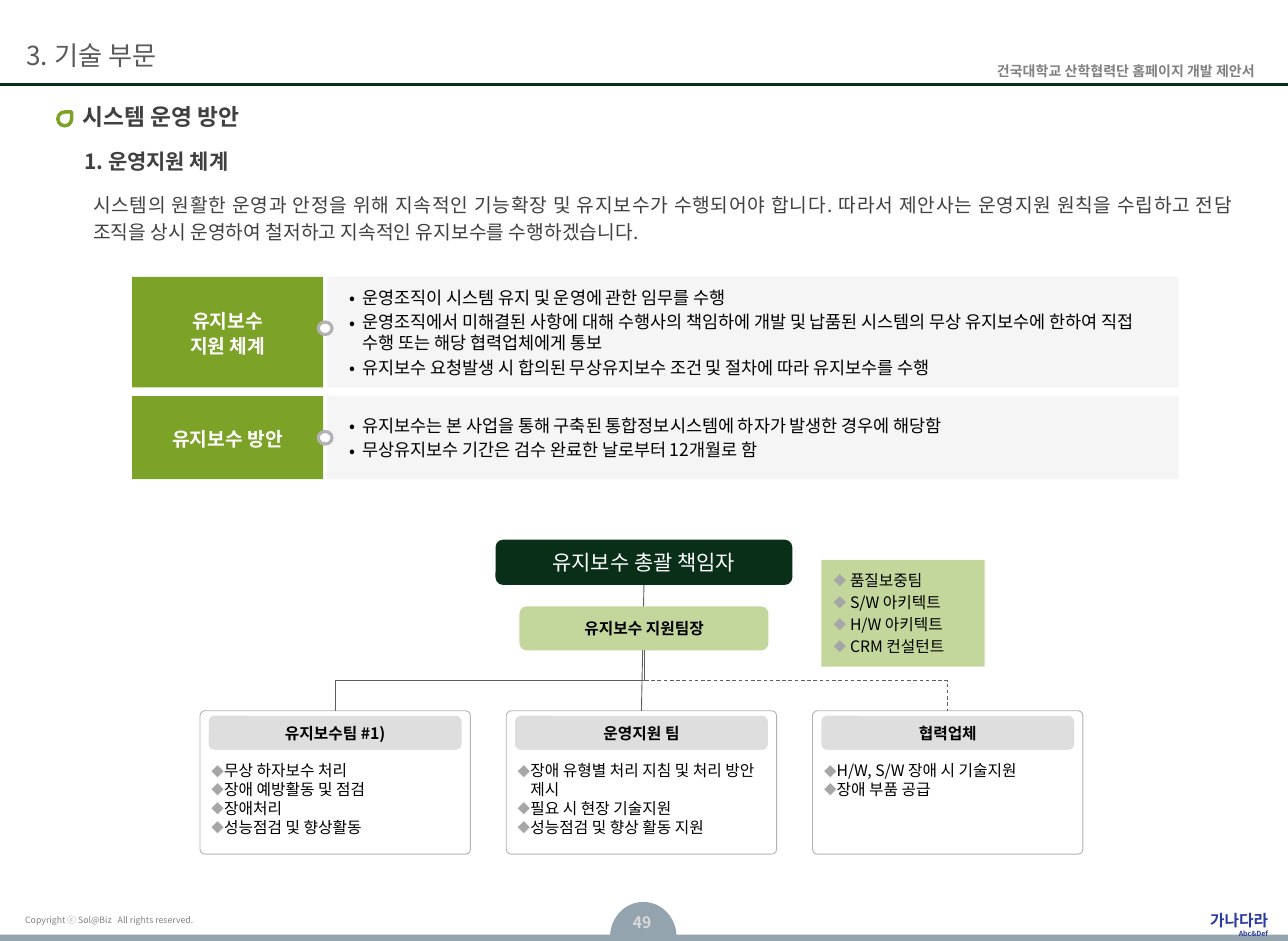
from dataclasses import dataclass
from lxml import etree
from pptx import Presentation
from pptx import util as u
from pptx.dml.color import RGBColor
from pptx.enum import dml, shapes, text
from pptx.oxml import ns

KIND = shapes.MSO_SHAPE
LINK = shapes.MSO_CONNECTOR
ALIGN = text.PP_ALIGN
TOP, MID = text.MSO_ANCHOR.TOP, text.MSO_ANCHOR.MIDDLE


@dataclass(frozen=True)
class Theme:
    font: str = "Noto Sans CJK KR"
    alt: str = "Arial"
    ink: str = "000000"
    white: str = "FFFFFF"
    dark: str = "404040"
    mid: str = "595959"
    gray: str = "808080"
    pale: str = "F5F5F5"
    band: str = "DEDEDE"
    edge: str = "B2B2B2"
    mark: str = "A6A6A6"
    page: str = "D9D9D9"
    wire: str = "5F5F5F"
    slate: str = "93A4AE"
    navy: str = "293B9F"
    rule: str = "093019"
    deep: str = "092F19"
    green: str = "7CA228"
    lime: str = "C3D69B"
    tiny: int = 4
    note: int = 5
    small: int = 8
    label: int = 9
    item: int = 10
    body: int = 11
    head: int = 12
    title: int = 13
    banner: int = 15


T = Theme()


def color(code):
    return RGBColor.from_string(code)


def node(par, tag, **attrs):
    item = etree.SubElement(par, ns.qn(tag))
    for key, val in attrs.items():
        item.set(key, str(val))
    return item


def bullet(para, sign, tint, scale, hang):
    prop = para._p.get_or_add_pPr()
    prop.set("marL", str(u.Inches(hang)))
    prop.set("indent", str(-u.Inches(hang)))
    if not sign:
        node(prop, "a:buNone")
        return
    node(node(prop, "a:buClr"), "a:srgbClr", val=tint)
    node(prop, "a:buSzPct", val=scale * 1000)
    node(prop, "a:buFont", typeface=T.font)
    node(prop, "a:buChar", char=sign)


def write(shape, lines, size=T.label, tint=T.ink, bold=False, font=T.font,
          align=ALIGN.LEFT, anchor=TOP, pad=(.1, .05, .1, .05), lead=1, gap=0,
          sign="", mark=T.ink, scale=100, hang=0, sizes=None):
    frame = shape.text_frame
    frame.word_wrap, frame.auto_size = True, text.MSO_AUTO_SIZE.NONE
    frame.vertical_anchor = anchor
    (frame.margin_left, frame.margin_top,
     frame.margin_right, frame.margin_bottom) = map(u.Inches, pad)
    for i, line in enumerate(lines):
        para = frame.add_paragraph() if i else frame.paragraphs[0]
        pts = sizes[i] if sizes else size
        para.alignment = align
        para.line_spacing = u.Pt(round(1.2 * pts * lead, 1))
        para.space_before = u.Pt(gap if i else 0)
        bullet(para, sign, mark, scale, hang)
        run = para.add_run()
        run.text = line
        run.font.size, run.font.bold = u.Pt(pts), bold
        run.font.name = font
        run.font.color.rgb = color(tint)
        node(run._r.get_or_add_rPr(), "a:ea", typeface=T.font)
    return shape


def place(shape, box):
    shape.left, shape.top, shape.width, shape.height = map(u.Inches, box)
    return shape


def note(slide, box, lines, **form):
    return write(slide.shapes.add_textbox(*map(u.Inches, box)), lines, **form)


def draw(slide, kind, box, fill, edge=None, width=.5, adj=()):
    shape = slide.shapes.add_shape(kind, *map(u.Inches, box))
    shape.shadow.inherit = False
    shape.fill.solid()
    shape.fill.fore_color.rgb = color(fill)
    if edge:
        shape.line.color.rgb = color(edge)
        shape.line.width = u.Pt(width)
    else:
        shape.line.fill.background()
    for i, val in enumerate(adj):
        shape.adjustments[i] = val
    return shape


def link(slide, kind, ends, tint=T.wire, width=.5):
    line = slide.shapes.add_connector(kind, *map(u.Inches, ends))
    line.line.color.rgb = color(tint)
    line.line.width = u.Pt(width)
    node(line._element.spPr, "a:effectLst")
    return line


def elbow(slide, start, end):
    (x, y), (far, low) = start, end
    span, drop = abs(far - x), low - y
    left, top = (x + far - drop) / 2, (y + low - span) / 2
    line = link(slide, LINK.ELBOW, (left, top, left + drop, top + span))
    frame = line._element.spPr.find(ns.qn("a:xfrm"))
    frame.set("rot", str((90 if far < x else 270) * 60000))
    if far > x:
        frame.set("flipH", "1")
    return line


def header(slide, box):
    x, y, w, h = box
    link(slide, LINK.STRAIGHT, (x, y + h, x + w, y + h), T.rule, 1.5)
    note(slide, (x, y + .22, 6.3, .44), ["3. 기술 부문"], size=T.banner,
         tint=T.mid, anchor=MID, pad=(.21, .05, .1, .05))
    note(slide, (x + w - 2.77, y + .45, 2.6, .22),
         ["건국대학교 산학협력단 홈페이지 개발 제안서"], size=T.small, tint=T.gray,
         bold=True, font=T.alt, align=ALIGN.RIGHT, pad=(.09, .05, .09, .05))


def footer(slide, box):
    x, y, w, h = box
    draw(slide, KIND.CHORD, (x + 4.85, y, .53, .56), T.slate,
         adj=(108.411, 214.657))
    draw(slide, KIND.RECTANGLE, (x, y + h - .05, w, .05), T.slate)
    note(slide, (x + .12, y + .06, 2.61, .18),
         ["Copyright ⓒ Sol@Biz   All rights reserved."], size=T.note,
         tint=T.gray, pad=(.08, .04, .08, .04))
    note(slide, (x + 4.85, y + .04, .51, .27), ["49"], tint=T.page,
         bold=True, align=ALIGN.CENTER)
    note(slide, (x + w - .96, y + .02, .9, .29), ["가나다라", "Abc&Def"],
         tint=T.navy, bold=True, align=ALIGN.RIGHT, sizes=(T.label, T.tiny))


def intro(slide, box):
    x, y, w, h = box
    flat = (0, 0, 0, 0)
    draw(slide, KIND.TEAR, (x, y + .07, .11, .11), T.white, T.green, 2)
    write(place(slide.shapes.title, (x + .2, y, w - .2, .22)),
          ["시스템 운영 방안"], size=T.title, tint=T.dark, bold=True, pad=flat)
    note(slide, (x + .21, y + .36, 5.07, .2), ["1. 운영지원 체계"],
         size=T.head, tint=T.dark, bold=True, pad=flat)
    write(place(slide.placeholders[1], (x + .18, y + .64, w - .18, h - .64)),
          ["시스템의 원활한 운영과 안정을 위해 지속적인 기능확장 및 유지보수가 수행되어야 합니다. "
           "따라서 제안사는 운영지원 원칙을 수립하고 전담 조직을 상시 운영하여 철저하고 지속적인 "
           "유지보수를 수행하겠습니다."],
          size=T.body, tint=T.dark, align=ALIGN.JUSTIFY, lead=1.17)


def policy(slide, box, names, items, dot):
    x, y, w, h = box
    write(draw(slide, KIND.RECTANGLE, (x + 1.55, y, w - 1.55, h), T.pale),
          items, size=T.item, anchor=MID, pad=(.18, .05, .1, .05), gap=2,
          sign="•", hang=.1)
    write(draw(slide, KIND.RECTANGLE, (x, y, 1.52, h), T.green), names,
          size=T.body, tint=T.white, bold=True, align=ALIGN.CENTER,
          anchor=MID, lead=1.1)
    draw(slide, KIND.OVAL, (x + 1.48, y + dot, .11, .1), T.white, T.edge, 1.8)


def pill(slide, box, name, fill, **form):
    return write(draw(slide, KIND.ROUNDED_RECTANGLE, box, fill, adj=(.167,)),
                 [name], align=ALIGN.CENTER, anchor=MID, **form)


def team(slide, box, name, items):
    x, y, w, h = box
    card = draw(slide, KIND.ROUNDED_RECTANGLE, box, T.white, T.edge,
                adj=(.035,))
    write(card, items, pad=(.08, .39, .08, .04), sign="◆", mark=T.mark,
          scale=80, hang=.1)
    pill(slide, (x + .07, y + .04, w - .14, .27), name, T.band, bold=True)
    return card


def chart(slide, box, teams):
    x, y, w, h = box
    axis, wide, tall = x + 3.53, 2.15, 1.14
    low = y + h - tall
    step = (w - wide) / (len(teams) - 1)
    chief = pill(slide, (axis - 1.18, y, 2.36, .36), "유지보수 총괄 책임자",
                 T.deep, size=T.head, tint=T.white)
    cards = [team(slide, (x + i * step, low, wide, tall), *data)
             for i, data in enumerate(teams)]
    stem = link(slide, LINK.STRAIGHT, (axis, y + .36, axis, low))
    stem.begin_connect(chief, 2)
    stem.end_connect(cards[1], 0)
    pill(slide, (axis - .99, y + .53, 1.98, .35), "유지보수 지원팀장", T.lime,
         bold=True)
    fork = (axis, y + .88)
    elbow(slide, fork, (x + wide / 2, low))
    side = elbow(slide, fork, (x + w - wide / 2, low))
    side.line.dash_style = dml.MSO_LINE.DASH
    write(draw(slide, KIND.RECTANGLE, (x + 4.94, y + .16, 1.3, .85), T.lime),
          ["품질보중팀", "S/W 아키텍트", "H/W 아키텍트", "CRM 컨설턴트"],
          anchor=MID, gap=1.8, sign="◆", mark=T.mark, scale=80, hang=.13)


def main():
    deck = Presentation()
    deck.slide_width, deck.slide_height = u.Inches(10.24), u.Inches(7.48)
    slide = deck.slides.add_slide(deck.slide_layouts[1])
    footer(slide, (0, 7.17, 10.24, .31))
    header(slide, (0, 0, 10.24, .67))
    intro(slide, (.46, .82, 9.44, 1.34))
    policy(slide, (1.05, 2.2, 8.32, .88), ["유지보수", "지원 체계"], [
        "운영조직이 시스템 유지 및 운영에 관한 임무를 수행",
        "운영조직에서 미해결된 사항에 대해 수행사의 책임하에 개발 및 납품된 시스템의 "
        "무상 유지보수에 한하여 직접 수행 또는 해당 협력업체에게 통보",
        "유지보수 요청발생 시 합의된 무상유지보수 조건 및 절차에 따라 유지보수를 수행"], .36)
    policy(slide, (1.05, 3.15, 8.32, .66), ["유지보수 방안"], [
        "유지보수는 본 사업을 통해 구축된 통합정보시스템에 하자가 발생한 경우에 해당함",
        "무상유지보수 기간은 검수 완료한 날로부터 12개월로 함"], .28)
    chart(slide, (1.59, 4.29, 7.02, 2.5), [
        ("유지보수팀 #1)", ["무상 하자보수 처리", "장애 예방활동 및 점검", "장애처리",
                        "성능점검 및 향상활동"]),
        ("운영지원 팀", ["장애 유형별 처리 지침 및 처리 방안 제시", "필요 시 현장 기술지원",
                     "성능점검 및 향상 활동 지원"]),
        ("협력업체", ["H/W, S/W 장애 시 기술지원", "장애 부품 공급"])])
    deck.save("out.pptx")


if __name__ == "__main__":
    main()
